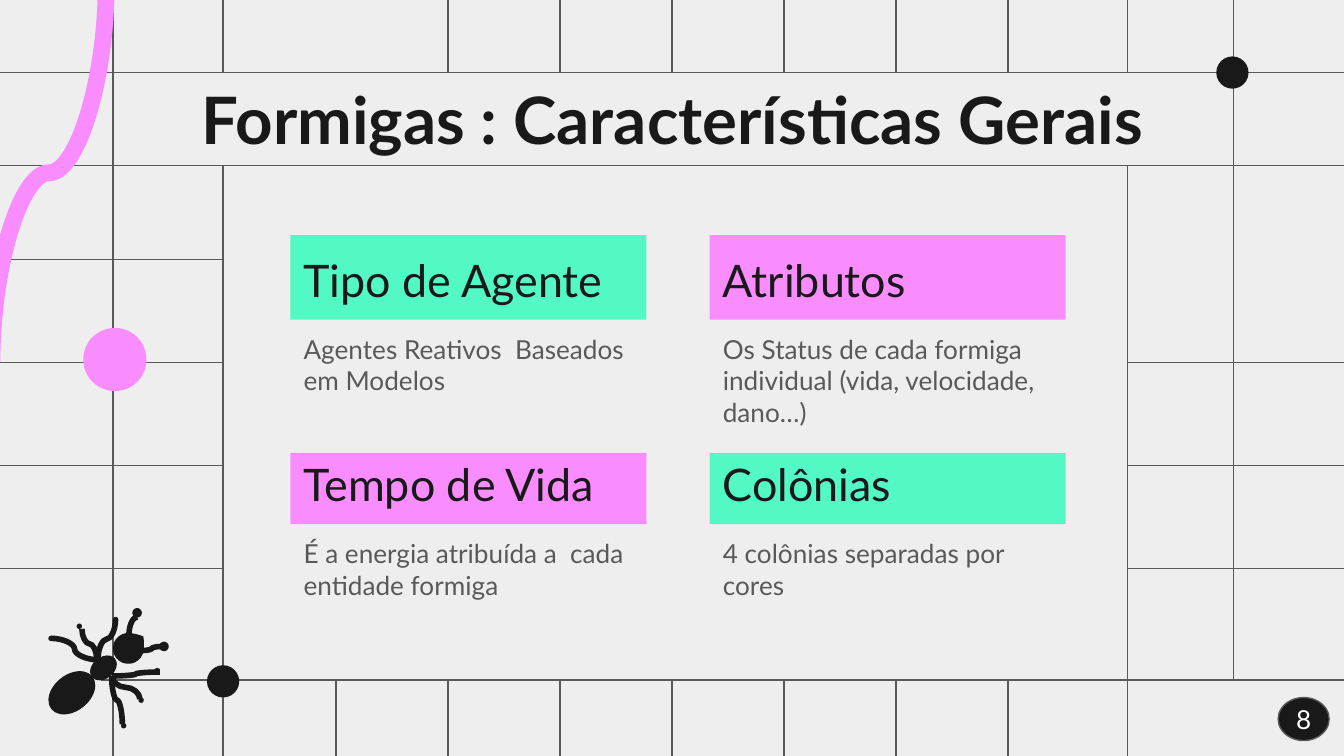
import math

import pptx
import pptx.dml.color
import pptx.enum.shapes
import pptx.enum.text
import pptx.oxml
import pptx.oxml.ns
import pptx.util

SHAPE = pptx.enum.shapes.MSO_SHAPE
CONNECTOR = pptx.enum.shapes.MSO_CONNECTOR
ANCHOR = pptx.enum.text.MSO_ANCHOR
ALIGN = pptx.enum.text.PP_ALIGN

COLUMNS, ROWS = 100, 56.25
INK, GREY, PAPER, WHITE = "191919", "595959", "EEEEEE", "FFFFFF"
PINK, MINT = "F98CFF", "53F9C5"
ANT_TILT = 51.5


def color(value):
    return pptx.dml.color.RGBColor.from_string(value)


def grid(cells):
    return pptx.util.Inches(cells / 10)


class Board:
    font = "Lato"

    def __init__(self, deck):
        self.page = deck.slides.add_slide(deck.slide_layouts[6])
        self.page.background.fill.solid()
        self.page.background.fill.fore_color.rgb = color(PAPER)

    def connect(self, kind, start, end, tint, weight):
        line = self.page.shapes.add_connector(kind, *map(grid, (*start, *end)))
        line.line.color.rgb = color(tint)
        line.line.width = pptx.util.Pt(weight)
        effects = pptx.oxml.ns.qn("a:effectLst")
        line._element.spPr.append(line._element.makeelement(effects, {}))
        return line

    def line(self, start, end):
        self.connect(CONNECTOR.STRAIGHT, start, end, GREY, 0.75)

    def curve(self, start, end, upright=True, tint=INK, weight=3, preset="curvedConnector3"):
        if upright:
            angle = 90 if start[0] > end[0] else 270
        else:
            angle = 180 if start[1] > end[1] else 0
        middle = [(a + b) / 2 for a, b in zip(start, end)]
        cos, sin = math.cos(math.radians(angle)), math.sin(math.radians(angle))

        def turn_back(point):
            dx, dy = point[0] - middle[0], point[1] - middle[1]
            return middle[0] + dx * cos + dy * sin, middle[1] - dx * sin + dy * cos

        line = self.connect(CONNECTOR.CURVE, turn_back(start), turn_back(end), tint, weight)
        line._element.spPr.xfrm.set("rot", str(angle * 60000))
        line._element.spPr.find(pptx.oxml.ns.qn("a:prstGeom")).set("prst", preset)

    def shape(self, kind, frame, fill, tilt=0, outline=None, weight=0.75):
        shape = self.page.shapes.add_shape(kind, *map(grid, frame))
        shape.shadow.inherit = False
        shape.rotation = tilt
        shape.fill.solid()
        shape.fill.fore_color.rgb = color(fill)
        if outline:
            shape.line.color.rgb = color(outline)
            shape.line.width = pptx.util.Pt(weight)
        else:
            shape.line.fill.background()
        return shape

    def label(self, box, text, size, tint, align=ALIGN.LEFT, anchor=ANCHOR.TOP, bold=False, wrap=True):
        frame = box.text_frame
        frame.text = text
        frame.word_wrap = wrap
        frame.vertical_anchor = anchor
        frame.margin_left = frame.margin_right = grid(1)
        frame.margin_top = frame.margin_bottom = grid(1)
        para = frame.paragraphs[0]
        para.alignment = align
        for span in para.runs:
            span.font.name = self.font
            span.font.size = pptx.util.Pt(size)
            span.font.bold = bold
            span.font.color.rgb = color(tint)

    def text(self, frame, text, size, tint, **style):
        box = self.page.shapes.add_textbox(*map(grid, frame))
        self.label(box, text, size, tint, **style)

    def card(self, left, top, height, fill, heading, body):
        width = 26.5
        band = self.shape(SHAPE.RECTANGLE, (left, top, width, height), fill)
        self.label(band, heading, 24, INK, anchor=ANCHOR.BOTTOM)
        self.text((left, top + height, width, 6.3), body, 14, GREY)


def draw_lattice(board):
    step = COLUMNS / 12
    left, right, top, header, bottom = 16.6, 83.9, 5.4, 12.3, 50.6
    for y in (top, header):
        board.line((0, y), (COLUMNS, y))
    board.line((7.5, bottom), (COLUMNS, bottom))
    board.line((8.4, 0), (8.4, ROWS))
    board.line((91.8, 0), (91.8, bottom))
    for x in (left, right):
        board.line((x, 0), (x, top))
        board.line((x, header), (x, ROWS))
    for number in range(3, 10):
        x = number * step
        if number > 3:
            board.line((x, 0), (x, top))
        board.line((x, bottom), (x, ROWS))
    for number in range(4):
        y = 19.3 + number * 7.67
        board.line((0, y), (left, y))
        if number:
            board.line((right, y), (COLUMNS, y))


def draw_ant(board):
    head = board.shape(SHAPE.TEAR, (8.4, 47.1, 2.3, 2.3), INK, 6.5)
    head.adjustments[0] = 0.88
    for body in ((6.9, 48.6, 1.6, 2.2), (4, 49.6, 2.7, 3.9)):
        board.shape(SHAPE.OVAL, body, INK, ANT_TILT)
    for start, end in (
        ((7.3, 49), (8.6, 46.1)),
        ((7.2, 49), (6.1, 46.8)),
        ((8.3, 50.3), (10.4, 52)),
        ((8.3, 50.3), (9.1, 53.9)),
    ):
        board.curve(start, end)
    for start, end in (
        ((8.3, 50.3), (11.9, 50)),
        ((10.6, 48.4), (12, 48.1)),
        ((3.8, 47.5), (7.3, 49.1)),
    ):
        board.curve(start, end, upright=False)
    board.curve((9.6, 47.2), (10.2, 45.9), preset="curvedConnector2")
    for x, y in ((8.4, 45.9), (11.5, 49.7), (5.7, 46.4), (10.3, 51.9), (3.6, 47.3), (9, 53.8)):
        board.shape(SHAPE.OVAL, (x, y, 0.4, 0.4), INK, ANT_TILT)
    for x, y in ((12, 47.9), (10, 45.4)):
        board.shape(SHAPE.OVAL, (x, y, 0.4, 0.4), INK, ANT_TILT, INK, 2.25)


def main():
    deck = pptx.Presentation()
    deck.slide_width, deck.slide_height = grid(COLUMNS), grid(ROWS)
    board = Board(deck)
    draw_lattice(board)
    draw_ant(board)

    board.curve((-0.6, 26.9), (7.9, -1.2), tint=PINK, weight=9)
    for x, y, size, fill in ((6.2, 24.4, 4.7, PINK), (90.5, 4.2, 2.4, INK), (15.4, 49.5, 2.4, INK)):
        board.shape(SHAPE.OVAL, (x, y, size, size), fill)

    board.text((7.9, 4.9, 84.3, 6.3), "Formigas : Características Gerais", 35, INK,
               align=ALIGN.CENTER, bold=True)

    left, right = 21.6, 52.8
    upper, lower = (17.5, 6.3), (33.7, 5.3)
    board.card(left, *upper, MINT, "Tipo de Agente", "Agentes Reativos  Baseados em Modelos")
    board.card(right, *upper, PINK, "Atributos",
               "Os Status de cada formiga individual (vida, velocidade, dano…)")
    board.card(left, *lower, PINK, "Tempo de Vida", "É a energia atribuída a  cada entidade formiga")
    board.card(right, *lower, MINT, "Colônias", "4 colônias separadas por cores")

    badge = board.shape(SHAPE.OVAL, (95.1, 51.9, 3.8, 3.2), INK, outline=GREY)
    board.label(badge, "8", 14, WHITE, align=ALIGN.CENTER, anchor=ANCHOR.MIDDLE, wrap=False)
    deck.save("out.pptx")


if __name__ == "__main__":
    main()
